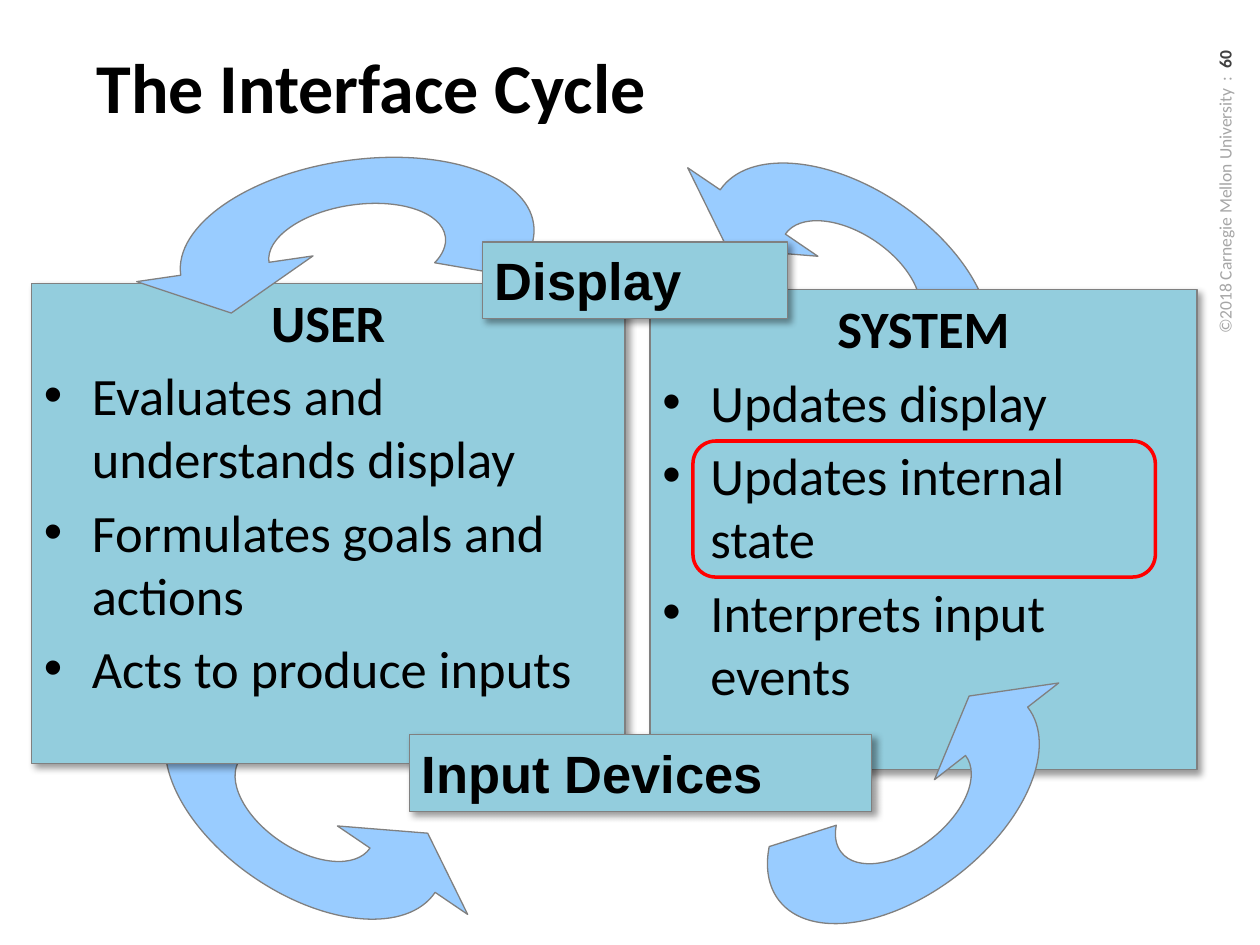
"""Build the interface cycle slide."""

from dataclasses import dataclass
from math import cos, radians, sin, tan

from lxml.etree import SubElement
from pptx import Presentation
from pptx.dml.color import RGBColor
from pptx.enum.shapes import MSO_SHAPE
from pptx.enum.text import MSO_ANCHOR, PP_ALIGN
from pptx.oxml.ns import qn
from pptx.util import Inches, Pt

BLACK = RGBColor(0x00, 0x00, 0x00)
DARK = RGBColor(0x40, 0x40, 0x40)
PALE = RGBColor(0xA6, 0xA6, 0xA6)
GRAY = RGBColor(0x80, 0x80, 0x80)
RED = RGBColor(0xFF, 0x00, 0x00)
TEAL = RGBColor(0x93, 0xCD, 0xDD)
BLUE = RGBColor(0x99, 0xCC, 0xFF)

Point = tuple[float, float]


@dataclass
class Arrow:
    left: float
    top: float
    wide: float
    turn: float
    sign: int = 1


@dataclass
class Panel:
    left: float
    top: float
    wide: float
    high: float
    head: str
    items: tuple[str, ...] = ()


START = Arrow(5.5, 1.5, 2.5, 34.2)
BACK = Arrow(1.17, 5.67, 2.5, 34.2, -1)
ENTER = Arrow(5.92, 5.67, 2.5, 322.1, -1)
SHOW = Arrow(1.42, 1.27, 2.83, 351.7)

USER = Panel(0.25, 2.25, 4.71, 3.81, "USER", (
    "Evaluates and understands display",
    "Formulates goals and actions",
    "Acts to produce inputs",
))
SYSTEM = Panel(5.16, 2.3, 4.34, 3.81, "SYSTEM", (
    "Updates display",
    "Updates internal \nstate",
    "Interprets input events",
))
INPUT = Panel(3.25, 5.83, 3.67, 0.61, "Input Devices")
DISPLAY = Panel(3.83, 1.92, 2.42, 0.61, "Display")


def write(para, text: str, *, size: float = 30, font: str = "Calibri",
          color: RGBColor = BLACK, bold: bool = False) -> None:
    """Add formatted text to a paragraph."""
    for row, part in enumerate(text.split("\n")):
        if row:
            para.add_line_break()
        run = para.add_run()
        run.text = part
        run.font.size = Pt(size)
        run.font.name = font
        run.font.bold = bold
        run.font.color.rgb = color


def paint(shape, fill: RGBColor | None, line: RGBColor, width: float) -> None:
    """Set the fill and outline of a shape."""
    shape.shadow.inherit = False
    if fill is None:
        shape.fill.background()
    else:
        shape.fill.solid()
        shape.fill.fore_color.rgb = fill
    shape.line.color.rgb = line
    shape.line.width = Pt(width)


def shade(shape) -> None:
    """Give a shape a soft shadow to the lower right."""
    effect = shape.element.spPr.find(qn("a:effectLst"))
    outer = SubElement(effect, qn("a:outerShdw"), blurRad=str(Pt(4)),
                       dist=str(Pt(3)), dir="2700000", algn="tl",
                       rotWithShape="0")
    tint = SubElement(outer, qn("a:srgbClr"), val="000000")
    SubElement(tint, qn("a:alpha"), val="40000")


def bullet(para) -> None:
    """Give a paragraph a hanging round bullet."""
    para.space_before = Pt(6)
    props = para._p.get_or_add_pPr()
    props.set("marL", str(Inches(0.38)))
    props.set("indent", str(-Inches(0.38)))
    SubElement(props, qn("a:buFont"), typeface="Arial")
    SubElement(props, qn("a:buChar"), char="•")


def spot(radius: float, angle: float) -> Point:
    """Return the point at an angle in degrees on a circle."""
    return radius * cos(radians(angle)), radius * sin(radians(angle))


def bend(radius: float, first: float, last: float) -> list[Point]:
    """Return the cubic curve points for one arc."""
    pull = 4 / 3 * tan(radians(last - first) / 4)
    (ax, ay), (bx, by) = spot(radius, first), spot(radius, last)
    return [(ax - pull * ay, ay + pull * ax),
            (bx + pull * by, by - pull * bx), (bx, by)]


def draw_arrow(slide, arrow: Arrow) -> None:
    """Draw a curved block arrow inside its turned frame."""
    wide, high = Inches(arrow.wide), Inches(1.42)
    pen = slide.shapes.build_freeform(0, 0)
    pen.add_line_segments([(wide, high)], close=True)
    shape = pen.convert_to_shape()
    shape.left, shape.top = Inches(arrow.left), Inches(arrow.top)
    shape.width, shape.height = wide, high
    shape.rotation = arrow.turn
    track = next(shape.element.iter(qn("a:path")))
    track.clear()
    track.set("w", str(wide))
    track.set("h", str(high))
    steps = [("moveTo", [(-0.5, 0)])]
    steps += [("cubicBezTo", bend(0.5, *span))
              for span in ((180, 270), (270, 360), (360, 393))]
    steps += [("lnTo", [spot(1, 33)])]
    steps += [("cubicBezTo", bend(1, *span))
              for span in ((33, 0), (0, -90), (-90, -180))]
    steps += [("lnTo", [p]) for p in ((-1.25, 0), (-0.75, 0.5), (-0.25, 0))]
    for kind, points in steps:
        node = SubElement(track, qn(f"a:{kind}"))
        for x, y in points:
            SubElement(node, qn("a:pt"),
                       x=str(round((1 + arrow.sign * x) * wide / 2)),
                       y=str(round((1 + arrow.sign * y) * high / 2)))
    SubElement(track, qn("a:close"))
    paint(shape, BLUE, GRAY, 0.75)


def draw_panel(slide, panel: Panel) -> None:
    """Draw a shaded box with a heading and any bullet items."""
    box = slide.shapes.add_shape(
        MSO_SHAPE.RECTANGLE, Inches(panel.left), Inches(panel.top),
        Inches(panel.wide), Inches(panel.high))
    paint(box, TEAL, GRAY, 0.75)
    shade(box)
    frame = box.text_frame
    frame.word_wrap = True
    frame.vertical_anchor = MSO_ANCHOR.TOP
    head = frame.paragraphs[0]
    head.alignment = PP_ALIGN.CENTER if panel.items else PP_ALIGN.LEFT
    write(head, panel.head, bold=True,
          font="Calibri" if panel.items else "Arial")
    for item in panel.items:
        para = frame.add_paragraph()
        para.alignment = PP_ALIGN.LEFT
        bullet(para)
        write(para, item)


def add_box(slide, left: float, top: float, wide: float, high: float):
    """Add an empty wrapping text box."""
    box = slide.shapes.add_textbox(
        Inches(left), Inches(top), Inches(wide), Inches(high))
    box.text_frame.word_wrap = True
    return box


def main() -> None:
    """Build and save the slide."""
    deck = Presentation()
    deck.slide_width, deck.slide_height = Inches(10), Inches(7.5)
    slide = deck.slides.add_slide(deck.slide_layouts[6])

    credit = add_box(slide, 7.66, 2.08, 4.12, 0.57)
    credit.rotation = 270
    credit.text_frame.vertical_anchor = MSO_ANCHOR.MIDDLE
    para = credit.text_frame.paragraphs[0]
    para.alignment = PP_ALIGN.RIGHT
    write(para, "©2018 Carnegie Mellon University  :  ", size=10, color=PALE)
    write(para, "60", size=10, color=DARK, bold=True)

    draw_arrow(slide, START)
    draw_arrow(slide, BACK)
    draw_panel(slide, USER)
    draw_panel(slide, SYSTEM)
    draw_arrow(slide, ENTER)
    draw_panel(slide, INPUT)
    draw_arrow(slide, SHOW)

    title = add_box(slide, 0.67, 0.3, 8.83, 1.25)
    write(title.text_frame.paragraphs[0], "The Interface Cycle",
          size=40, bold=True)

    ring = slide.shapes.add_shape(
        MSO_SHAPE.ROUNDED_RECTANGLE, Inches(5.5), Inches(3.5),
        Inches(3.67), Inches(1.08))
    paint(ring, None, RED, 2)
    draw_panel(slide, DISPLAY)
    deck.save("out.pptx")


if __name__ == "__main__":
    main()
